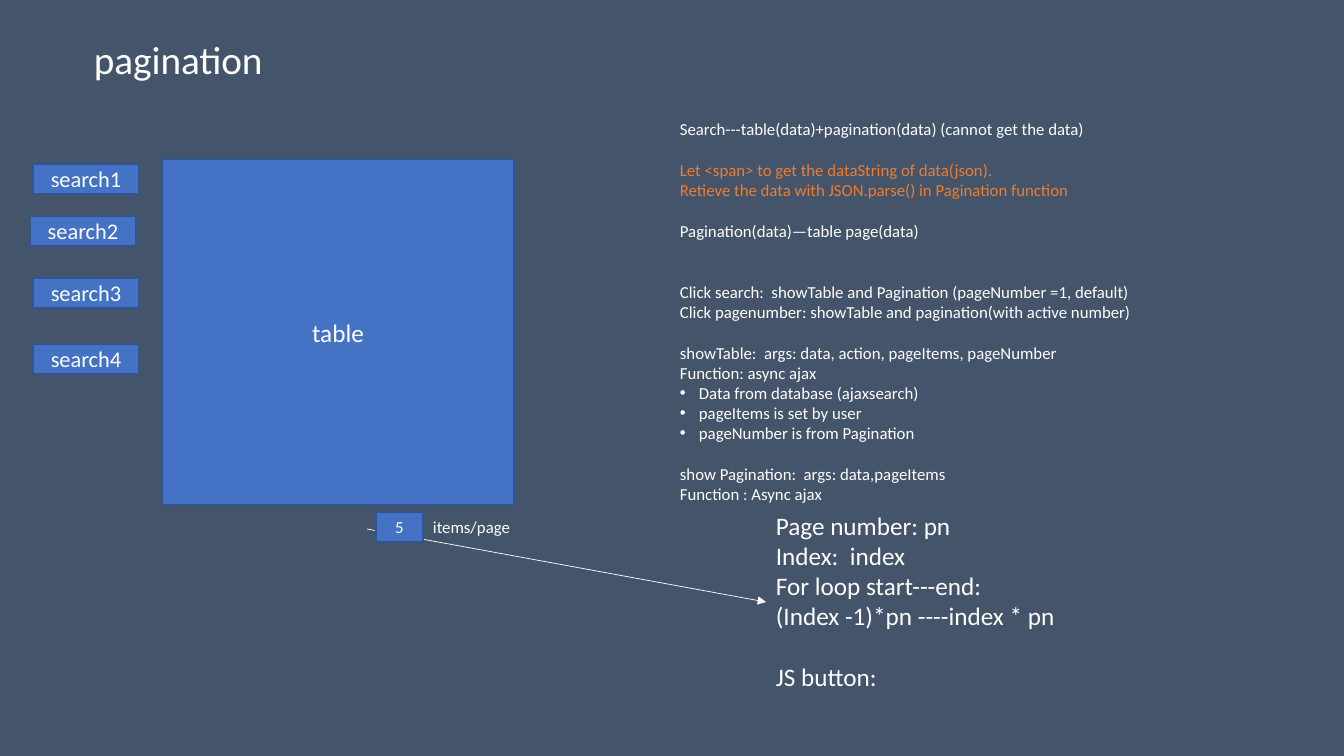
import pptx
import pptx.util
import pptx.dml.color
import pptx.enum.shapes
import pptx.enum.text
from lxml import etree

PX = 9071
WHITE, ORANGE, BLUE, NAVY, SLATE = "FFFFFF", "ED7D31", "4472C4", "325491", "44546A"
LINE_HEIGHT = 1.22
BULLET_INDENT = 19
DRAWING = "{http://schemas.openxmlformats.org/drawingml/2006/main}"


def color(value):
    return pptx.dml.color.RGBColor.from_string(value)


def write(frame, text, size=18, ink=WHITE, centered=False, gap=0, bullet=False, spacing=None):
    paragraph = frame.paragraphs[0] if not frame.text else frame.add_paragraph()
    if bullet:
        properties = paragraph._p.get_or_add_pPr()
        properties.set("marL", str(BULLET_INDENT * PX))
        properties.set("indent", str(-BULLET_INDENT * PX))
        etree.SubElement(properties, DRAWING + "buFont").set("typeface", "Arial")
        etree.SubElement(properties, DRAWING + "buChar").set("char", "•")
    if centered:
        paragraph.alignment = pptx.enum.text.PP_ALIGN.CENTER
    if gap:
        paragraph.space_before = pptx.util.Pt(round(gap * size * LINE_HEIGHT, 2))
    if spacing:
        paragraph.line_spacing = spacing
    run = paragraph.add_run()
    run.text = text
    run.font.name = "Calibri"
    run.font.size = pptx.util.Pt(size)
    run.font.color.rgb = color(ink)


deck = pptx.Presentation()
deck.slide_width = 1344 * PX
deck.slide_height = 756 * PX
slide = deck.slides.add_slide(deck.slide_layouts[6])
slide.background.fill.solid()
slide.background.fill.fore_color.rgb = color(SLATE)

page_arrow = slide.shapes.add_connector(
    pptx.enum.shapes.MSO_CONNECTOR.STRAIGHT, 367 * PX, 529 * PX, 766 * PX, 602 * PX)
page_arrow.line.color.rgb = color(WHITE)
page_arrow.line.width = pptx.util.Pt(0.5)
etree.SubElement(page_arrow.line._get_or_add_ln(), DRAWING + "tailEnd").set("type", "triangle")
etree.SubElement(page_arrow._element.spPr, DRAWING + "effectLst")

blocks = [
    ("table", 18, 162, 159, 352, 346),
    ("search1", 16, 33, 164, 106, 30),
    ("search2", 16, 30, 216, 106, 30),
    ("search3", 16, 33, 278, 106, 30),
    ("search4", 16, 33, 344, 106, 30),
    ("5", 12, 376, 512, 47, 30),
]
for label, size, left, top, width, height in blocks:
    block = slide.shapes.add_shape(
        pptx.enum.shapes.MSO_SHAPE.RECTANGLE, left * PX, top * PX, width * PX, height * PX)
    block.shadow.inherit = False
    block.fill.solid()
    block.fill.fore_color.rgb = color(BLUE)
    block.line.color.rgb = color(NAVY)
    block.line.width = pptx.util.Pt(1)
    block.text_frame.vertical_anchor = pptx.enum.text.MSO_ANCHOR.MIDDLE
    write(block.text_frame, label, size=size, centered=True)

title = [("pagination", {"spacing": 0.9})]
page_size = [("items/page", {})]
page_loop = [
    ("Page number: pn", {}),
    ("Index:  index", {}),
    ("For loop start---end:", {}),
    ("(Index -1)*pn ----index * pn", {}),
    ("JS button:", {"gap": 1}),
]
data_flow = [
    ("Search---table(data)+pagination(data) (cannot get the data)", {}),
    ("Let <span> to get the dataString of data(json).", {"ink": ORANGE, "gap": 1}),
    ("Retieve the data with JSON.parse() in Pagination function", {"ink": ORANGE}),
    ("Pagination(data)—table page(data)", {"gap": 1}),
    ("Click search:  showTable and Pagination (pageNumber =1, default)", {"gap": 2}),
    ("Click pagenumber: showTable and pagination(with active number)", {}),
    ("showTable:  args: data, action, pageItems, pageNumber", {"gap": 1}),
    ("Function: async ajax", {}),
    ("Data from database (ajaxsearch)", {"bullet": True}),
    ("pageItems is set by user", {"bullet": True}),
    ("pageNumber is from Pagination", {"bullet": True}),
    ("show Pagination:  args: data,pageItems", {"gap": 1}),
    ("Function : Async ajax", {}),
]
notes = [
    (title, 28, 84, 36, 1159, 37),
    (page_loop, 18, 766, 505, 434, 194),
    (data_flow, 12, 670, 114, 627, 417),
    (page_size, 12, 423, 512, 99, 30),
]
for lines, size, left, top, width, height in notes:
    note = slide.shapes.add_textbox(left * PX, top * PX, width * PX, height * PX)
    note.text_frame.word_wrap = True
    for text, look in lines:
        write(note.text_frame, text, size=size, **look)

deck.save("out.pptx")
